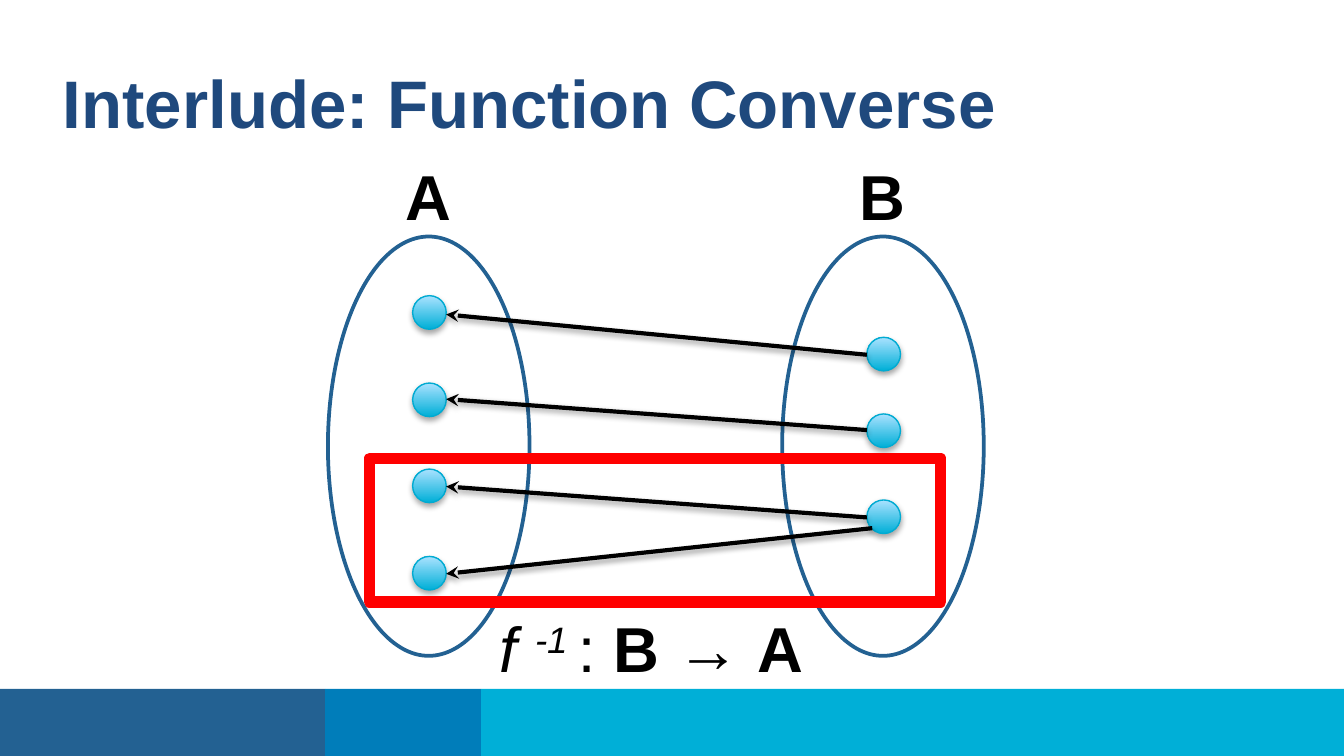
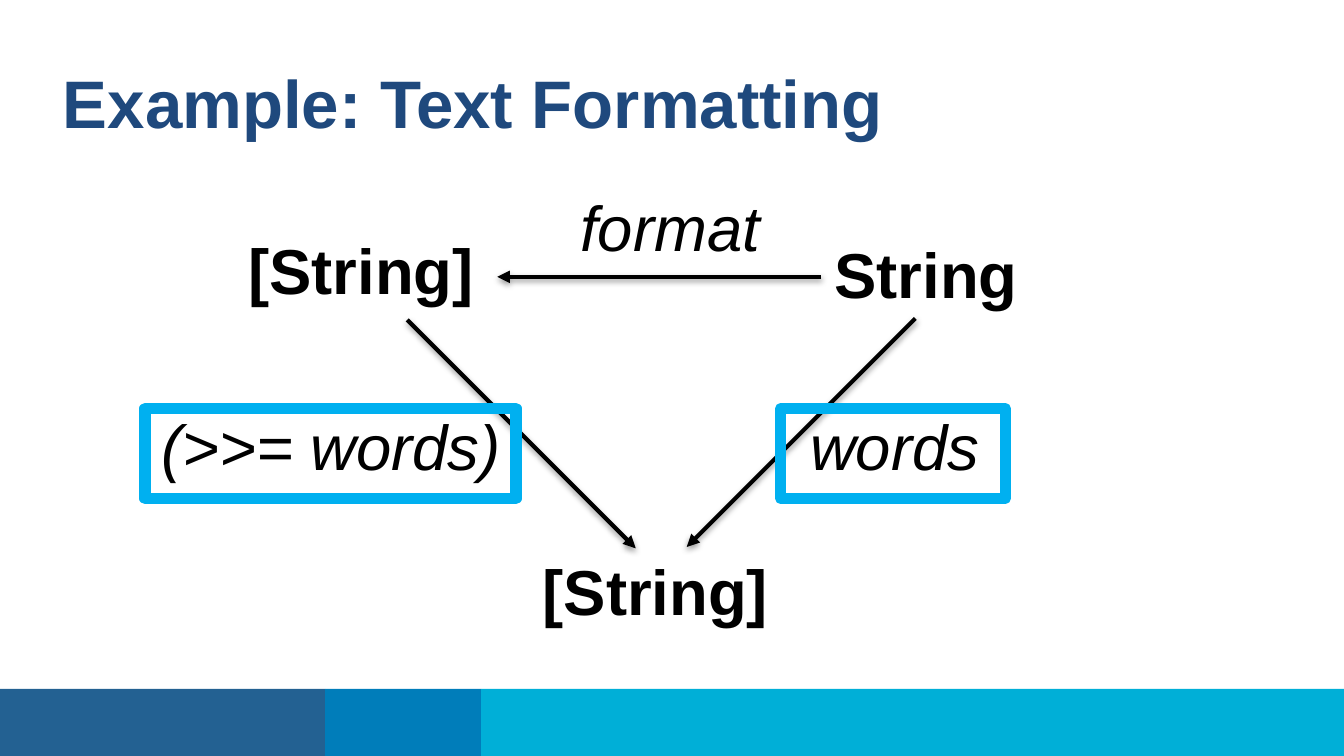
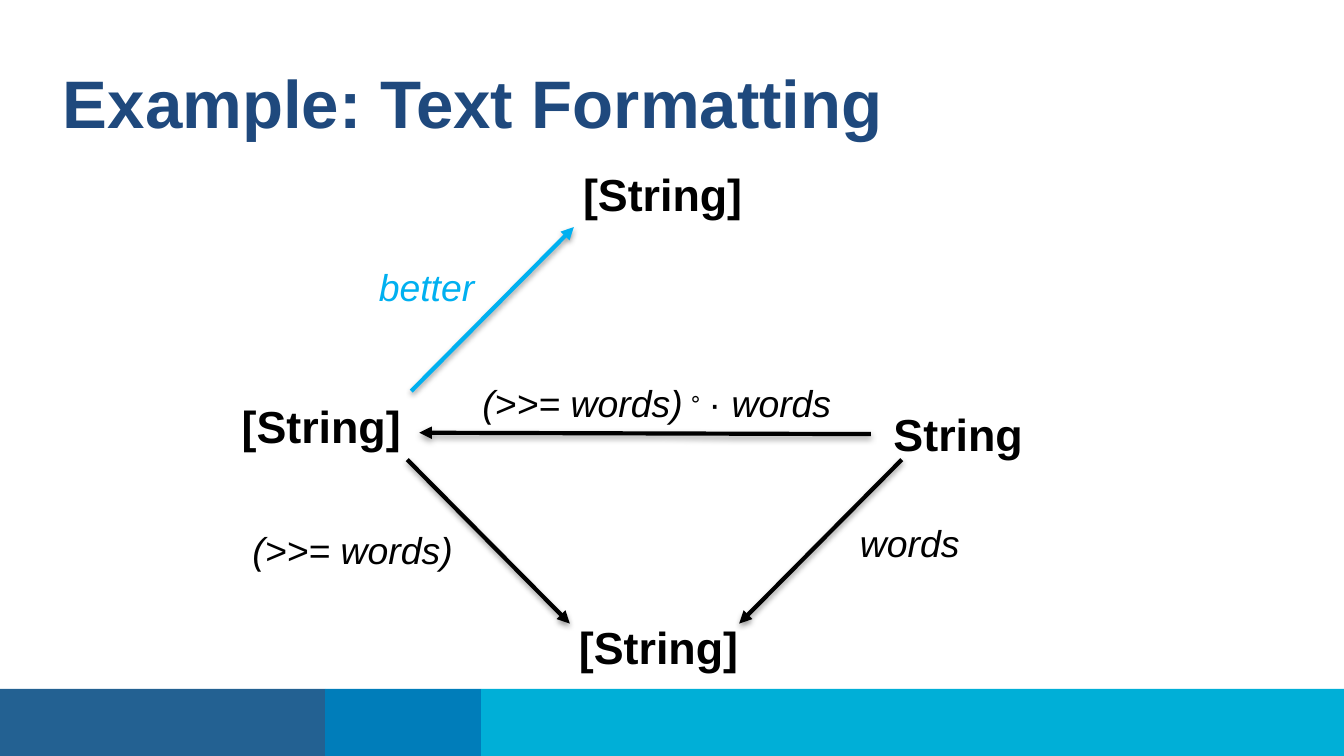
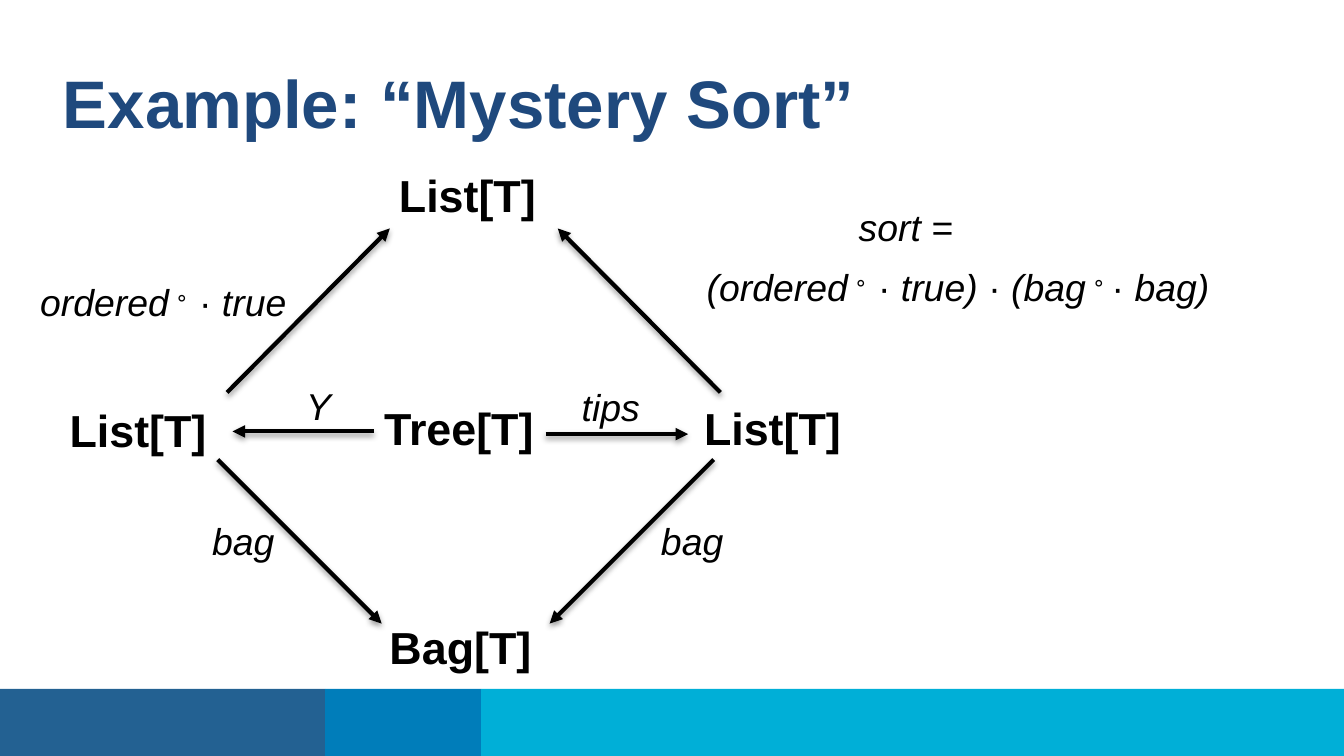
from dataclasses import dataclass

from lxml import etree
from pptx import Presentation
from pptx.dml.color import RGBColor
from pptx.enum.shapes import MSO_CONNECTOR, MSO_SHAPE
from pptx.enum.text import MSO_ANCHOR, MSO_AUTO_SIZE
from pptx.oxml.ns import qn
from pptx.util import Emu, Pt

OVAL = MSO_SHAPE.OVAL
RECT = MSO_SHAPE.RECTANGLE
STRAIGHT = MSO_CONNECTOR.STRAIGHT
MIDDLE = MSO_ANCHOR.MIDDLE
GROW = MSO_AUTO_SIZE.SHAPE_TO_FIT_TEXT

SCALE = 9144  # EMU in one px, 100 px to the inch
WIDTH = 1000
HEIGHT = WIDTH * 9 / 16


@dataclass(frozen=True)
class Theme:
    font: str = "Arial"
    title: str = "1F497D"
    ink: str = "000000"
    paper: str = "FFFFFF"
    navy: str = "236192"
    blue: str = "007DBA"
    cyan: str = "00AFD7"
    pale: str = "AAE2FF"
    rim: str = "00ABD2"
    mark: str = "00B0F0"
    alert: str = "FF0000"
    head: int = 36
    large: int = 34
    node: int = 24
    label: int = 20


def px(n):
    return Emu(round(n * SCALE))


def rgb(code):
    return RGBColor.from_string(code)


class Deck:
    def __init__(self, theme):
        self.theme = theme
        self.prs = Presentation()
        self.prs.slide_width, self.prs.slide_height = px(WIDTH), px(HEIGHT)
        self.slide = None

    def start(self, title):
        """Open a slide with its bands and title."""
        t = self.theme
        self.slide = self.prs.slides.add_slide(self.prs.slide_layouts[6])
        edges = (0, 242, 358, WIDTH)
        for left, right, fill in zip(edges, edges[1:], (t.navy, t.blue, t.cyan)):
            self.shape(RECT, left, HEIGHT - 50, right - left, 50, fill)
        frame = self.text(37, 38, 923, title, t.head, "b", t.title, 75)
        frame.auto_size = None
        frame.word_wrap = True
        frame.vertical_anchor = MIDDLE

    def shape(self, kind, x, y, w, h, fill=None, line=None, weight=1):
        item = self.slide.shapes.add_shape(kind, px(x), px(y), px(w), px(h))
        item.shadow.inherit = False
        if fill:
            item.fill.solid()
            item.fill.fore_color.rgb = rgb(fill)
        else:
            item.fill.background()
        if line:
            item.line.color.rgb = rgb(line)
            item.line.width = Pt(weight)
        else:
            item.line.fill.background()
        return item

    def shade(self, item, alpha, gap):
        """Give a shape or connector a soft shadow straight below it."""
        props = item._element.spPr
        group = props.find(qn("a:effectLst"))
        if group is None:
            group = etree.SubElement(props, qn("a:effectLst"))
        drop = etree.SubElement(group, qn("a:outerShdw"), blurRad="40000",
                                dist=str(gap), dir="5400000", rotWithShape="0")
        tone = etree.SubElement(drop, qn("a:srgbClr"), val=self.theme.ink)
        etree.SubElement(tone, qn("a:alpha"), val=str(alpha * 1000))

    def dot(self, x, y):
        t = self.theme
        item = self.shape(OVAL, x, y, 25, 25, t.cyan, t.rim, 0.75)
        item.fill.gradient()
        item.fill.gradient_angle = 90
        for stop, color in zip(item.fill.gradient_stops, (t.cyan, t.pale)):
            stop.color.rgb = rgb(color)
        self.shade(item, 35, 23000)

    def arrow(self, x1, y1, x2, y2, color=None, end="tailEnd", tip="triangle"):
        item = self.slide.shapes.add_connector(
            STRAIGHT, px(x1), px(y1), px(x2), px(y2))
        item.line.color.rgb = rgb(color or self.theme.ink)
        item.line.width = Pt(2.25)
        etree.SubElement(item.line._get_or_add_ln(), qn("a:" + end), type=tip)
        self.shade(item, 38, 20000)

    def text(self, x, y, w, words, size, style="", color=None, h=None):
        """Words are a string, or (string, style) pairs: b bold, i italic, s raised."""
        h = h or {34: 67, 24: 50, 20: 44}[size]
        frame = self.slide.shapes.add_textbox(px(x), px(y), px(w), px(h)).text_frame
        frame.word_wrap = False
        frame.auto_size = GROW
        parts = [(words, style)] if isinstance(words, str) else words
        para = frame.paragraphs[0]
        for part, look in parts:
            run = para.add_run()
            run.text = part
            font = run.font
            font.name, font.size = self.theme.font, Pt(size)
            font.bold, font.italic = "b" in look, "i" in look
            font.color.rgb = rgb(color or self.theme.ink)
            if "s" in look:
                font._element.set("baseline", "30000")
        return frame

    def node(self, x, y, w, words, size=None):
        self.text(x, y, w, words, size or self.theme.node, "b")

    def label(self, x, y, w, words, size=None, color=None):
        self.text(x, y, w, words, size or self.theme.label, "i", color)

    def frame(self, x, y, w, h, color):
        self.shape(RECT, x, y, w, h, None, color, 6)


def converse(deck):
    t = deck.theme
    deck.start("Interlude: Function Converse")
    # Two sets and their members
    for x in (244, 582):
        deck.shape(OVAL, x, 176, 150, 312, t.paper, t.navy, 2)
    for x, rows in ((307, (220, 285, 349, 414)), (645, (251, 308, 372))):
        for y in rows:
            deck.dot(x, y)
    for x, name in ((292, "A"), (630, "B")):
        deck.node(x, 112, 55, name, t.large)
    # Arrows back from B to A
    for y1, x2, y2 in ((234, 645, 264), (297, 645, 320),
                       (362, 645, 385), (427, 649, 393)):
        deck.arrow(332, y1, x2, y2, end="headEnd", tip="stealth")
    deck.text(362, 448, 258, [("f ", "i"), ("-1 ", "is"), (": ", ""), ("B", "b"),
                              (" → ", ""), ("A", "b")], t.large)
    deck.frame(275, 341, 425, 107, t.alert)


def triangle(deck):
    t = deck.theme
    deck.start("Example: Text Formatting")
    # Types
    for x, y, w, name in ((611, 170, 158, "String"), (175, 167, 190, "[String]"),
                          (394, 406, 190, "[String]")):
        deck.node(x, y, w, name, t.large)
    # Functions
    for ends in ((681, 237, 511, 407), (303, 238, 473, 408), (611, 206, 370, 206)):
        deck.arrow(*ends)
    for x, y, w, name in ((110, 298, 276, "(>>= words)"), (593, 298, 147, "words"),
                          (422, 135, 156, "format")):
        deck.label(x, y, w, name, t.large)
    for x, w in ((581, 167), (108, 276)):
        deck.frame(x, 304, w, 67, t.mark)


def better(deck):
    t = deck.theme
    deck.start("Example: Text Formatting")
    # Types
    deck.node(655, 298, 117, "String")
    for x, y in ((170, 292), (421, 456), (424, 119)):
        deck.node(x, y, 140, "[String]")
    # Functions
    for ends in ((671, 342, 550, 464), (648, 323, 312, 322), (303, 342, 424, 464)):
        deck.arrow(*ends)
    deck.arrow(306, 291, 427, 169, t.mark)
    deck.label(178, 387, 170, "(>>= words)")
    deck.label(630, 382, 95, "words")
    deck.label(349, 278, 281, [("(>>= words)", "i"), (" ∘ ", "s"), ("· ", ""),
                               ("words", "i")])
    deck.label(272, 192, 92, "better", color=t.mark)


def mystery(deck):
    deck.start("Example: “Mystery Sort”")
    # Types
    deck.node(280, 456, 127, "Bag[T]")
    deck.node(276, 293, 132, "Tree[T]")
    for x, y in ((514, 293), (42, 295), (287, 120)):
        deck.node(x, y, 123, "List[T]")
    # Functions
    for ends in ((531, 342, 409, 464), (162, 342, 284, 464), (536, 292, 415, 170),
                 (169, 292, 290, 170), (406, 323, 512, 323), (278, 321, 173, 321)):
        deck.arrow(*ends)
    for x in (148, 482):
        deck.label(x, 381, 67, "bag")
    deck.label(423, 281, 64, "tips")
    deck.label(218, 280, 39, "Y")
    dual = [(" ∘", "s"), (" · ", "")]
    deck.label(20, 203, 211, [("ordered", "i"), *dual, ("true", "i")])
    # Definition
    deck.label(629, 147, 91, "sort =")
    deck.label(516, 192, 394, [("(ordered", "i"), *dual, ("true) ", "i"), ("· ", ""),
                               ("(bag", "i"), (" ∘ ", "s"), ("· ", ""),
                               ("bag)", "i")])


def main():
    deck = Deck(Theme())
    for build in (converse, triangle, better, mystery):
        build(deck)
    deck.prs.save("out.pptx")


if __name__ == "__main__":
    main()
